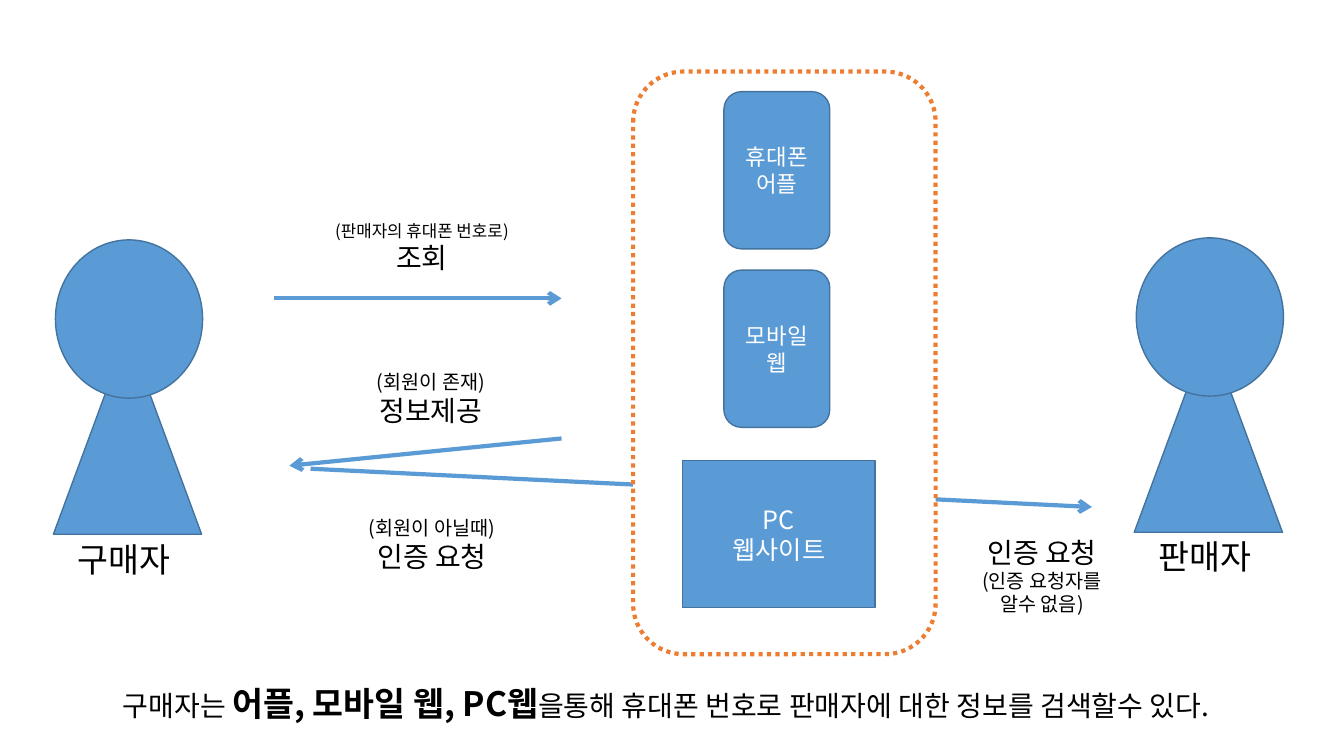
from lxml import etree
from pptx import Presentation
from pptx.dml.color import RGBColor
from pptx.enum.dml import MSO_LINE
from pptx.enum.shapes import MSO_CONNECTOR, MSO_SHAPE
from pptx.enum.text import MSO_ANCHOR, PP_ALIGN
from pptx.oxml.ns import qn
from pptx.util import Inches, Pt

FONT = "Noto Sans CJK KR"
BLUE, DARK_BLUE, ORANGE, WHITE, BLACK = "5B9BD5", "43739E", "ED7D31", "FFFFFF", "000000"
LEFT, CENTER = PP_ALIGN.LEFT, PP_ALIGN.CENTER
MIDDLE = MSO_ANCHOR.MIDDLE
ELLIPSE, TRIANGLE = MSO_SHAPE.OVAL, MSO_SHAPE.ISOSCELES_TRIANGLE
RECTANGLE, ROUNDED = MSO_SHAPE.RECTANGLE, MSO_SHAPE.ROUNDED_RECTANGLE
STRAIGHT, DOTTED = MSO_CONNECTOR.STRAIGHT, MSO_LINE.ROUND_DOT


def color(hex_string):
    return RGBColor.from_string(hex_string)


def write(frame, paragraphs, hex_string, align):
    """Fill a text frame; each paragraph is a list of (text, size, bold) runs."""
    for index, runs in enumerate(paragraphs):
        paragraph = frame.add_paragraph() if index else frame.paragraphs[0]
        paragraph.alignment = align
        font = paragraph.font
        font.name = FONT
        font.color.rgb = color(hex_string)
        font.size = Pt(runs[0][1])
        etree.SubElement(font._element, qn("a:ea"), typeface=FONT)
        for text, size, bold in runs:
            run = paragraph.add_run()
            run.text = text
            if len(runs) > 1:
                run.font.size = Pt(size)
                run.font.bold = bold


presentation = Presentation()
presentation.slide_width = Inches(13.33)
presentation.slide_height = Inches(7.5)
slide = presentation.slides.add_slide(presentation.slide_layouts[6])

# Arrows: start, end
arrows = [
    ((10.83, 5.03), (3.08, 4.65), "both"),
    ((2.72, 2.96), (5.57, 2.96), "end"),
    ((5.57, 4.35), (2.87, 4.62), "end"),
]
arrows[0] = ((3.08, 4.65), (10.83, 5.03), "end")
for start, end, _ in arrows:
    arrow = slide.shapes.add_connector(STRAIGHT, *map(Inches, start + end))
    arrow.line.color.rgb = color(BLUE)
    arrow.line.width = Pt(3)
    etree.SubElement(arrow.line._get_or_add_ln(), qn("a:tailEnd"), type="arrow")
    etree.SubElement(arrow._element.spPr, qn("a:effectLst"))

# Service frame, channels and the two people: kind, box, fill, line, width, lines, size
shapes = [
    (ROUNDED, (6.28, 0.71, 3, 5.78), WHITE, ORANGE, 3, [], 0),
    (ROUNDED, (7.18, 0.91, 1.05, 1.56), BLUE, DARK_BLUE, 1, ["휴대폰", "어플"], 16),
    (ROUNDED, (7.18, 2.68, 1.05, 1.56), BLUE, DARK_BLUE, 1, ["모바일", "웹"], 16),
    (RECTANGLE, (6.77, 4.57, 1.91, 1.46), BLUE, DARK_BLUE, 1, ["PC", "웹사이트"], 18),
]
for left, top in [(0.53, 2.38), (11.25, 2.36)]:
    shapes += [
        (TRIANGLE, (left, top + 0.93, 1.47, 1.99), BLUE, DARK_BLUE, 1, [], 0),
        (ELLIPSE, (left + 0.02, top, 1.46, 1.57), BLUE, DARK_BLUE, 1, [], 0),
    ]
for kind, box, fill, line, width, lines, size in shapes:
    shape = slide.shapes.add_shape(kind, *map(Inches, box))
    shape.shadow.inherit = False
    shape.fill.solid()
    shape.fill.fore_color.rgb = color(fill)
    shape.line.color.rgb = color(line)
    shape.line.width = Pt(width)
    if line == ORANGE:
        shape.line.dash_style = DOTTED
    if lines:
        shape.text_frame.vertical_anchor = MIDDLE
        write(shape.text_frame, [[(text, size, False)] for text in lines], WHITE, CENTER)

# Labels and summary: box, alignment, wrap, paragraphs
labels = [
    ((0.67, 5.3, 1.21, 0.5), LEFT, False, [[("구매자", 24, False)]]),
    ((11.39, 5.27, 1.21, 0.5), LEFT, False, [[("판매자", 24, False)]]),
    ((3.13, 2.14, 2.11, 0.64), CENTER, False,
     [[("(판매자의 휴대폰 번호로)", 12, False)], [("조회", 20, False)]]),
    ((3.59, 3.62, 1.37, 0.67), CENTER, True,
     [[("(회원이 존재)", 14, False)], [("정보제공", 20, False)]]),
    ((3.5, 5.07, 1.57, 0.67), CENTER, False,
     [[("(회원이 아닐때)", 14, False)], [("인증 요청", 20, False)]]),
    ((9.58, 5.26, 1.51, 0.91), CENTER, False,
     [[("인증 요청", 20, False)], [("(인증 요청자를", 14, False)], [("알수 없음)", 14, False)]]),
    ((1.12, 6.73, 11.56, 0.5), LEFT, False,
     [[("구매자는 ", 20, False), ("어플, 모바일 웹, PC웹", 24, True),
       ("을통해 휴대폰 번호로 판매자에 대한 정보를 검색할수 있다.", 20, False)]]),
]
for box, align, wrap, paragraphs in labels:
    label = slide.shapes.add_textbox(*map(Inches, box))
    label.text_frame.word_wrap = wrap
    write(label.text_frame, paragraphs, BLACK, align)

presentation.save("out.pptx")
